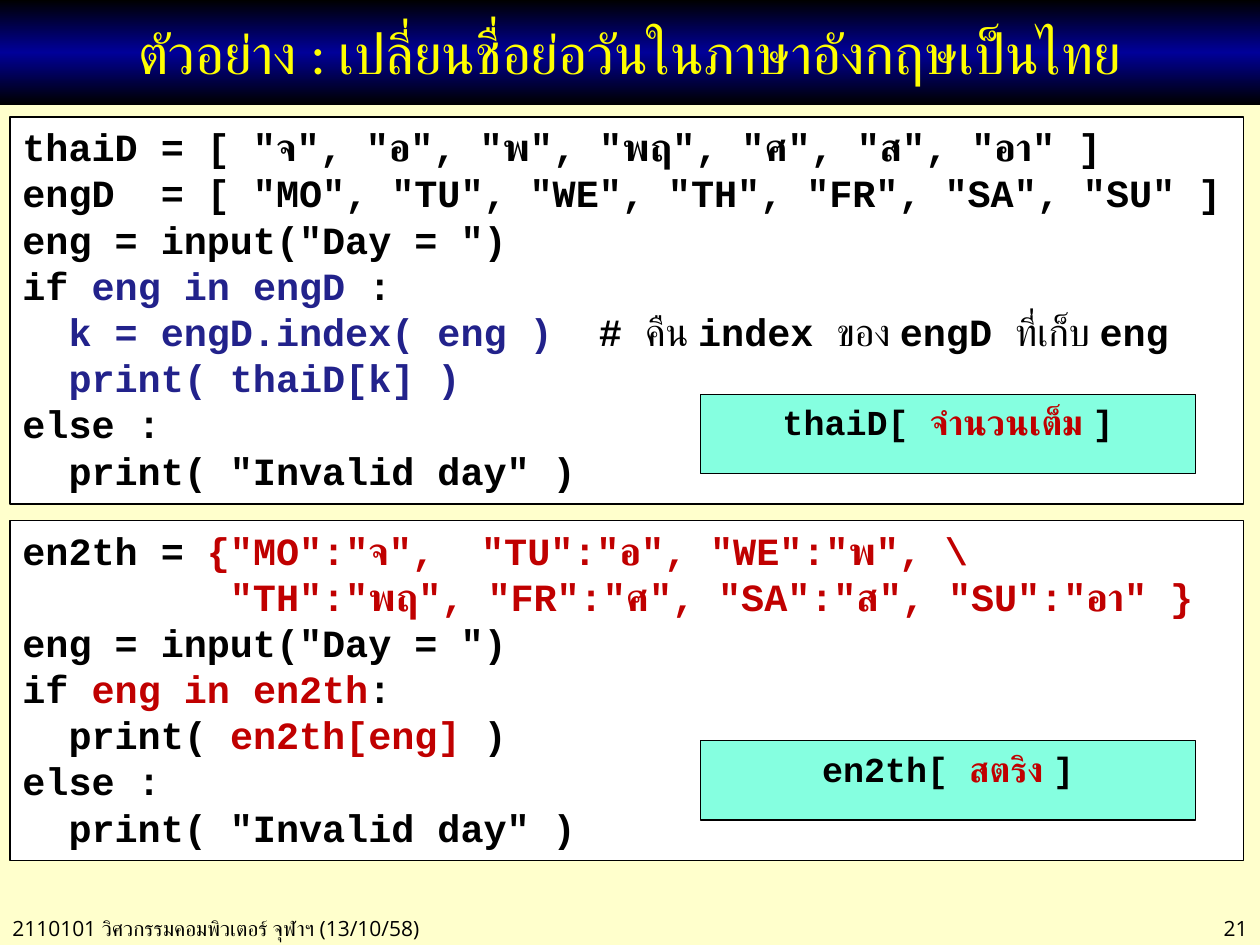
from copy import deepcopy

from pptx import Presentation
from pptx.dml.color import RGBColor
from pptx.enum.shapes import MSO_SHAPE
from pptx.enum.text import MSO_ANCHOR, PP_ALIGN
from pptx.util import Inches, Pt

RECT = MSO_SHAPE.RECTANGLE
TOP, MIDDLE = MSO_ANCHOR.TOP, MSO_ANCHOR.MIDDLE
LEFT, CENTER, RIGHT = PP_ALIGN.LEFT, PP_ALIGN.CENTER, PP_ALIGN.RIGHT

BLACK = RGBColor(0x00, 0x00, 0x00)
WHITE = RGBColor(0xFF, 0xFF, 0xFF)
CREAM = RGBColor(0xFF, 0xFF, 0xCC)
NAVY = RGBColor(0x00, 0x00, 0x99)
YELLOW = RGBColor(0xFF, 0xFF, 0x00)
BLUE = RGBColor(0x22, 0x22, 0x8B)
RED = RGBColor(0xC0, 0x00, 0x00)
MINT = RGBColor(0x85, 0xFF, 0xE0)

CODE = "Courier New"
ASK = [('eng = input("Day = ")', BLACK)]
ELSE = [[("else :", BLACK)], [('  print( "Invalid day" )', BLACK)]]

LISTS = [
    [('thaiD = [ "จ", "อ", "พ", "พฤ", "ศ", "ส", "อา" ]', BLACK)],
    [('engD  = [ "MO", "TU", "WE", "TH", "FR", "SA", "SU" ]', BLACK)],
    ASK,
    [("if ", BLACK), ("eng in engD ", BLUE), (":", BLACK)],
    [("  k = engD.index( eng )  ", BLUE), ("# ", BLACK),
     ("คืน ", BLACK, False), ("index ", BLACK), ("ของ ", BLACK, False),
     ("engD ", BLACK), ("ที่เก็บ ", BLACK, False), ("eng", BLACK)],
    [("  print( thaiD[k] )", BLUE)],
    *ELSE,
]
DICT = [
    [("en2th = ", BLACK), ('{"MO":"จ",  "TU":"อ", "WE":"พ", \\', RED)],
    [('         "TH":"พฤ", "FR":"ศ", "SA":"ส", "SU":"อา" }', RED)],
    ASK,
    [("if ", BLACK), ("eng in en2th", RED), (":", BLACK)],
    [("  print( ", BLACK), ("en2th[eng] ", RED), (")", BLACK)],
    *ELSE,
]


def style(run, font, size, color, bold=False):
    """Set the face, size, colour and weight of a run."""
    run.font.name = font
    run.font.size = Pt(size)
    run.font.color.rgb = color
    run.font.bold = bold


def add_title(slide, text, x, y, w, h):
    """Place the title on a black and blue band."""
    title = slide.shapes.title
    title.left, title.top, title.width, title.height = map(Inches, (x, y, w, h))
    title.fill.gradient()
    title.fill.gradient_angle = 90
    stops = title.fill.gradient_stops
    first, last = stops[0], stops[1]
    first.color.rgb = last.color.rgb = BLACK
    first.position, last.position = 0, 1
    edge = title.fill._fill._gradFill.gsLst
    edge.insert(1, deepcopy(edge[0]))
    mid = title.fill.gradient_stops[1]
    mid.position, mid.color.rgb = 0.5, NAVY
    frame = title.text_frame
    frame.text = text
    frame.vertical_anchor = MIDDLE
    para = frame.paragraphs[0]
    para.alignment = CENTER
    style(para.runs[0], "Calibri", 32, YELLOW)


def add_code(slide, lines, box, fill, size, align):
    """Place a framed box with lines of coloured code."""
    shape = slide.shapes.add_shape(RECT, *map(Inches, box))
    shape.shadow.inherit = False
    shape.fill.solid()
    shape.fill.fore_color.rgb = fill
    shape.line.color.rgb = BLACK
    shape.line.width = Pt(0.75)
    frame = shape.text_frame
    frame.word_wrap = True
    frame.vertical_anchor = TOP
    for i, line in enumerate(lines):
        para = frame.add_paragraph() if i else frame.paragraphs[0]
        para.alignment = align
        for text, color, *bold in line:
            run = para.add_run()
            run.text = text
            style(run, CODE, size, color, not bold)


def add_panel(slide, lines, note, x, y, w, h, drop):
    """Place a code listing with a note over its lower right part."""
    add_code(slide, lines, (x, y, w, h), WHITE, 22, LEFT)
    add_code(slide, [note], (x + 5.48, y + drop, 3.93, 0.63), MINT, 20, CENTER)


def add_foot(slide, text, x, y, w, h, align):
    """Place a small line of text at the foot."""
    frame = slide.shapes.add_textbox(*map(Inches, (x, y, w, h))).text_frame
    frame.word_wrap = True
    frame.text = text
    para = frame.paragraphs[0]
    para.alignment = align
    style(para.runs[0], "Open Sans", 12, BLACK)


def main():
    """Build and save the slide."""
    deck = Presentation()
    deck.slide_width, deck.slide_height = Inches(10), Inches(7.5)
    slide = deck.slides.add_slide(deck.slide_layouts[5])
    slide.background.fill.solid()
    slide.background.fill.fore_color.rgb = CREAM
    add_foot(slide, "2110101 วิศวกรรมคอมพิวเตอร์ จุฬาฯ (13/10/58)",
             0, 7.22, 3.9, 0.3, LEFT)
    add_foot(slide, "21", 8.62, 7.22, 1.38, 0.3, RIGHT)
    add_title(slide, "ตัวอย่าง : เปลี่ยนชื่อย่อวันในภาษาอังกฤษเป็นไทย",
              0, 0, 10, 0.83)
    add_panel(slide, LISTS,
              [("thaiD[ ", BLACK), ("จำนวนเต็ม ", RED), ("]", BLACK)],
              0.08, 0.93, 9.79, 3.07, 2.2)
    add_panel(slide, DICT,
              [("en2th[ ", BLACK), ("สตริง ", RED), ("]", BLACK)],
              0.08, 4.13, 9.79, 2.7, 1.75)
    deck.save("out.pptx")


main()
